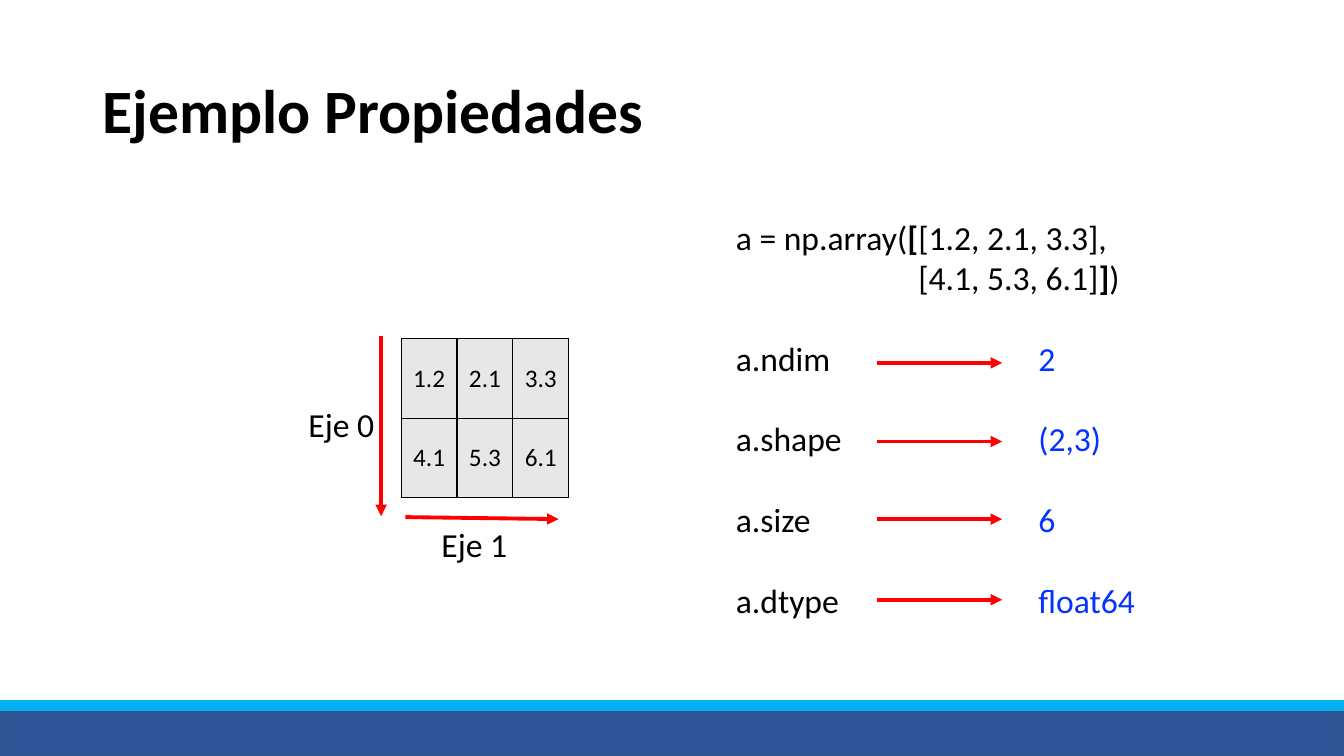
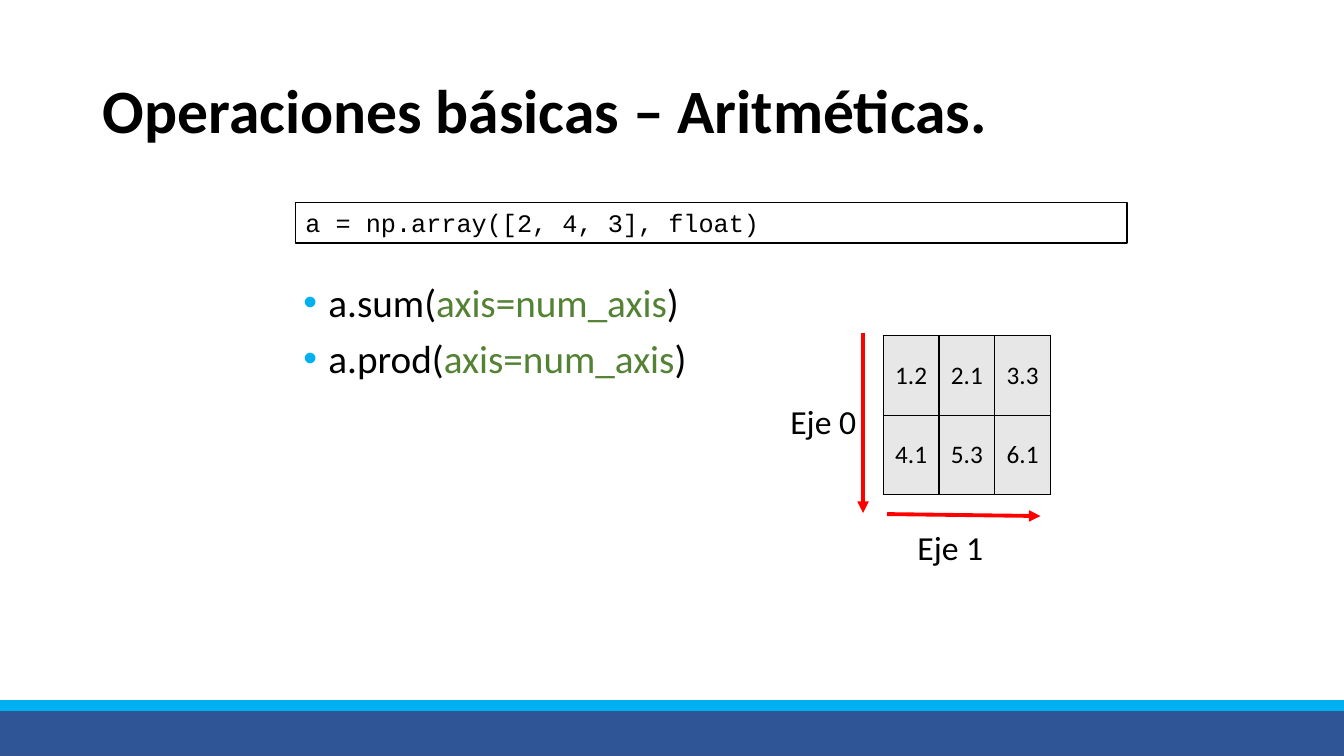
from dataclasses import dataclass

from lxml import etree
from pptx import Presentation
from pptx import util as u
from pptx.dml.color import RGBColor
from pptx.enum import shapes, text
from pptx.oxml.ns import qn


@dataclass(frozen=True)
class Theme:
    font: str = "Calibri"
    code_font: str = "Courier New"
    ink: str = "000000"
    paper: str = "FFFFFF"
    band: str = "2F5597"
    band_edge: str = "325491"
    accent: str = "00B0F0"
    cell: str = "E7E7E7"
    arrow: str = "FF0000"
    result: str = "0432FF"
    argument: str = "548235"
    title_size: int = 44
    bullet_size: int = 28
    text_size: int = 24
    small_size: int = 18
    arrow_width: float = 2.75


THEME = Theme()
SLIDE_WIDTH, SLIDE_HEIGHT = 13.33, 7.5

# Content
BANDS = [  # top, height, fill, edge
    (7.03, 0.47, THEME.band, THEME.band_edge),
    (6.95, 0.10, THEME.accent, THEME.accent),
]
MATRIX = [["1.2", "2.1", "3.3"], ["4.1", "5.3", "6.1"]]
PROPERTIES_TITLE = "Ejemplo Propiedades"
ARRAY_LINES = [  # indent, (words, bold) spans
    (0, [("a = np.array(", False), ("[", True), ("[1.2, 2.1, 3.3],", False)]),
    (1.81, [("[4.1, 5.3, 6.1]", False), ("]", True), (")", False)]),
]
PROPERTIES = [  # expression, value, height of its arrow
    ("a.ndim", "2", 3.6),
    ("a.shape", "(2,3)", 4.38),
    ("a.size", "6", 5.15),
    ("a.dtype", "float64", 5.95),
]
OPERATIONS_TITLE = "Operaciones básicas – Aritméticas."
ARRAY_CODE = "a = np.array([2, 4, 3], float)"
OPERATIONS = [("a.sum(", "axis=num_axis", ")"), ("a.prod(", "axis=num_axis", ")")]


def rgb(colour):
    return RGBColor.from_string(colour)


def inches(*lengths):
    return [u.Inches(length) for length in lengths]


def add_xml(parent, tag, **attributes):
    return etree.SubElement(parent, qn(tag), attributes)


def style(font, size, name=THEME.font, colour=THEME.ink, bold=False):
    font.size, font.name, font.bold = u.Pt(size), name, bold
    font.color.rgb = rgb(colour)


def add_span(para, words, colour=None, bold=None):
    span = para.add_run()
    span.text = words
    span.font.bold = bold
    if colour:
        span.font.color.rgb = rgb(colour)


def add_rect(page, at, fill, edge):
    box = page.shapes.add_shape(shapes.MSO_SHAPE.RECTANGLE, *inches(*at))
    box.shadow.inherit = False
    box.fill.solid()
    box.fill.fore_color.rgb = rgb(fill)
    box.line.color.rgb = rgb(edge)
    box.line.width = u.Pt(1)
    return box


def add_text_frame(page, at):
    frame = page.shapes.add_textbox(*inches(*at)).text_frame
    frame.word_wrap = True
    return frame


def add_paragraphs(frame, count):
    return [frame.paragraphs[0]] + [frame.add_paragraph() for _ in range(count - 1)]


def add_label(page, words, left, top):
    para = add_text_frame(page, (left, top, 1.02, 0.5)).paragraphs[0]
    para.text = words
    style(para.font, THEME.text_size)


def add_arrow(page, start, end):
    arrow = page.shapes.add_connector(
        shapes.MSO_CONNECTOR.STRAIGHT, *inches(*start, *end))
    arrow.line.color.rgb = rgb(THEME.arrow)
    arrow.line.width = u.Pt(THEME.arrow_width)
    properties = arrow.element.spPr
    add_xml(properties.find(qn("a:ln")), "a:tailEnd", type="triangle")
    add_xml(properties, "a:effectLst")


def add_borders(cell):
    properties = cell._tc.get_or_add_tcPr()
    for side in ("a:lnL", "a:lnR", "a:lnT", "a:lnB"):
        line = add_xml(properties, side, w=str(u.Pt(1)))
        add_xml(add_xml(line, "a:solidFill"), "a:srgbClr", val=THEME.ink)


def add_matrix(page, left, top, column_label):
    """Table with its two axis arrows; column_label is the offset of Eje 1."""
    width, height = 1.66, 1.58
    rows, columns = len(MATRIX), len(MATRIX[0])
    table = page.shapes.add_table(
        rows, columns, *inches(left, top, width, height)).table
    table.first_row = table.horz_banding = False
    for column in table.columns:
        column.width = u.Inches(width / columns)
    for row, values in zip(table.rows, MATRIX):
        row.height = u.Inches(height / rows)
        for cell, value in zip(row.cells, values):
            add_borders(cell)
            cell.fill.solid()
            cell.fill.fore_color.rgb = rgb(THEME.cell)
            cell.vertical_anchor = text.MSO_ANCHOR.MIDDLE
            para = cell.text_frame.paragraphs[0]
            para.text = value
            para.alignment = text.PP_ALIGN.CENTER
            style(para.font, THEME.small_size)
    add_arrow(page, (left - 0.2, top - 0.03), (left - 0.2, top + 1.76))
    add_arrow(page, (left + 0.04, top + 1.77), (left + 1.56, top + 1.79))
    add_label(page, "Eje 0", left - 1.02, top + 0.6)
    add_label(page, "Eje 1", left + column_label[0], top + column_label[1])


def add_page(deck, title):
    page = deck.slides.add_slide(deck.slide_layouts.get_by_name("Title Only"))
    box = page.shapes.title
    box.left, box.top, box.width, box.height = inches(0.92, 0.4, 11.5, 1.45)
    box.text_frame.vertical_anchor = text.MSO_ANCHOR.MIDDLE
    para = box.text_frame.paragraphs[0]
    para.text = title
    para.alignment = text.PP_ALIGN.LEFT
    para.line_spacing = 0.9
    style(para.font, THEME.title_size, bold=True)
    return page


def move_bands_to_layout(page):
    """Draw the bottom bands and place them behind the shared layout."""
    layout_tree = page.slide_layout.shapes.element
    for position, (top, height, fill, edge) in enumerate(BANDS, start=2):
        band = add_rect(page, (0, top, SLIDE_WIDTH, height), fill, edge)
        layout_tree.insert(position, band.element)


def build_properties(page):
    add_matrix(page, 3.98, 3.36, column_label=(0.3, 1.79))
    frame = add_text_frame(page, (7.2, 2.1, 5.02, 4.14))
    paras = add_paragraphs(frame, len(ARRAY_LINES) + len(PROPERTIES))

    # Array definition
    for para, (indent, spans) in zip(paras, ARRAY_LINES):
        para._p.get_or_add_pPr().set("marL", str(u.Inches(indent)))
        style(para.font, THEME.text_size)
        for words, bold in spans:
            add_span(para, words, bold=bold)

    # Each property, an arrow and its value at a tab stop
    for para, (expression, value, height) in zip(paras[len(ARRAY_LINES):], PROPERTIES):
        tabs = add_xml(para._p.get_or_add_pPr(), "a:tabLst")
        add_xml(tabs, "a:tab", pos=str(u.Inches(3)), algn="l")
        para.space_before = u.Pt(28.8)
        style(para.font, THEME.text_size)
        add_span(para, expression + "\t")
        add_span(para, value, THEME.result)
        add_arrow(page, (8.7, height), (9.94, height))


def build_operations(page):
    # Operations list
    frame = add_text_frame(page, (2.91, 2.76, 5, 1.3))
    for para, (start, argument, end) in zip(
            add_paragraphs(frame, len(OPERATIONS)), OPERATIONS):
        properties = para._p.get_or_add_pPr()
        properties.set("marL", str(u.Inches(0.25)))
        properties.set("indent", str(u.Inches(-0.25)))
        add_xml(add_xml(properties, "a:buClr"), "a:srgbClr", val=THEME.accent)
        add_xml(properties, "a:buFont", typeface="Arial")
        add_xml(properties, "a:buChar", char="•")
        para.line_spacing, para.space_before = 0.9, u.Pt(10)
        style(para.font, THEME.bullet_size)
        add_span(para, start)
        add_span(para, argument, THEME.argument)
        add_span(para, end)

    # Code box
    box = add_rect(page, (2.93, 2.01, 8.25, 0.4), THEME.paper, THEME.ink)
    box.text_frame.word_wrap = True
    box.text_frame.vertical_anchor = text.MSO_ANCHOR.TOP
    para = box.text_frame.paragraphs[0]
    para.text = ARRAY_CODE
    para.alignment = text.PP_ALIGN.LEFT
    style(para.font, THEME.small_size, THEME.code_font)

    add_matrix(page, 8.76, 3.33, column_label=(0.24, 1.85))


def main():
    deck = Presentation()
    deck.slide_width, deck.slide_height = inches(SLIDE_WIDTH, SLIDE_HEIGHT)
    properties_page = add_page(deck, PROPERTIES_TITLE)
    move_bands_to_layout(properties_page)
    build_properties(properties_page)
    build_operations(add_page(deck, OPERATIONS_TITLE))
    deck.save("out.pptx")


if __name__ == "__main__":
    main()
